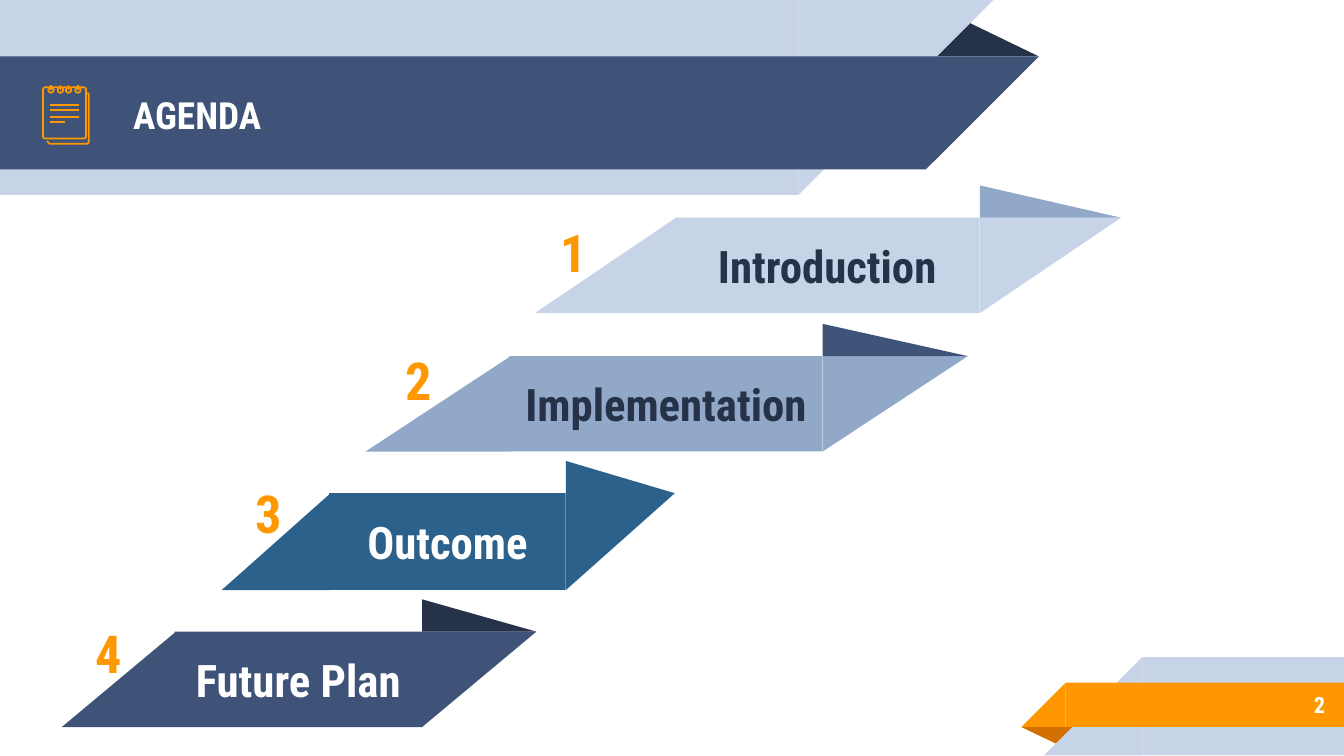
from dataclasses import dataclass

from lxml import etree
from pptx import Presentation
from pptx import util as u
from pptx.dml.color import RGBColor
from pptx.enum import shapes as kinds, text as t
from pptx.oxml.ns import qn

PX = 9144  # 100 px to the inch
RECT = kinds.MSO_SHAPE.RECTANGLE
CORNER = kinds.MSO_SHAPE.RIGHT_TRIANGLE
FOLD = kinds.MSO_SHAPE.ISOSCELES_TRIANGLE


@dataclass(frozen=True)
class Theme:
    font: str = "Roboto Condensed"
    white: str = "FFFFFF"
    ink: str = "263248"
    navy: str = "3F5378"
    steel: str = "92A8C8"
    pale: str = "C7D3E6"
    blue: str = "2B618B"
    orange: str = "FF9800"
    rust: str = "D26F00"
    title: int = 20
    item: int = 24
    number: int = 28
    page: int = 12
    icon_line: float = 0.96


THEME = Theme()
SLIDE_WIDTH = 1000
TITLE = ("AGENDA", (89, 43, 575, 84))
PAGE_NUMBER = ("2", (833, 507, 163, 35))

# label, bar box, slant width, bar colour, fold colour, text colour, number position
ITEMS = [
    ("Introduction", (502, 162, 227, 71), 105, THEME.pale, THEME.steel, THEME.ink, (407, 159)),
    ("Implementation", (379, 265, 233, 71), 108, THEME.steel, THEME.navy, THEME.ink, (292, 254)),
    ("Outcome", (245, 367, 176, 72), 81, THEME.blue, THEME.blue, THEME.white, (180, 353)),
    ("Future Plan", (130, 470, 184, 71), 85, THEME.navy, THEME.ink, THEME.white, (61, 457)),
]
FOLD_HEIGHT = 24
OVERLAP = 1
NUMBER_SIZE = (44, 57)

# kind, box, colour, rotation, mirrored, apex
HEADER = [
    (FOLD, (688, 14, 85, 28), THEME.ink, 0, False, 0.32),
    (RECT, (0, 0, 594, 145), THEME.pale, 0, False, None),
    (CORNER, (594, 0, 145, 145), THEME.pale, 180, True, None),
    (RECT, (0, 42, 689, 84), THEME.navy, 0, False, None),
    (CORNER, (689, 42, 84, 84), THEME.navy, 180, True, None),
]
FOOTER = [
    (FOLD, (760, 541, 43, 14), THEME.rust, 180, False, 0.32),
    (RECT, (850, 489, 150, 73), THEME.pale, 0, False, None),
    (CORNER, (777, 489, 73, 73), THEME.pale, 0, True, None),
    (RECT, (793, 508, 207, 33), THEME.orange, 0, False, None),
    (CORNER, (760, 508, 33, 33), THEME.orange, 0, True, None),
]

NOTE_FRONT = (32, 65, 32, 38)
NOTE_BACK = [(35, 105), (37, 107), (65, 107), (66, 106), (66, 70), (65, 69)]
RING_CENTRES = (38, 45, 51, 58)
WRITING = [(78, 59), (82, 59), (87, 59), (91, 48)]  # y, right end


def px(*lengths):
    return [u.Emu(length * PX) for length in lengths]


def rgb(colour):
    return RGBColor.from_string(colour)


def write(shape, words, *, size, colour, align=t.PP_ALIGN.LEFT,
          anchor=t.MSO_ANCHOR.MIDDLE, fit=t.MSO_AUTO_SIZE.NONE, inset=10):
    frame = shape.text_frame
    frame.word_wrap = True
    frame.auto_size = fit
    frame.vertical_anchor = anchor
    frame.margin_left = frame.margin_right = px(10)[0]
    frame.margin_top = frame.margin_bottom = px(inset)[0]
    para = frame.paragraphs[0]
    para.alignment = align
    span = para.add_run()
    span.text = words
    span.font.name = THEME.font
    span.font.size = u.Pt(size)
    span.font.bold = True
    span.font.color.rgb = rgb(colour)


def add_piece(group, kind, box, colour, rotation=0, mirrored=False, apex=None):
    piece = group.shapes.add_shape(kind, *px(*box))
    piece.shadow.inherit = False
    piece.fill.solid()
    piece.fill.fore_color.rgb = rgb(colour)
    piece.line.fill.background()
    piece.rotation = rotation
    if mirrored:
        piece._element.spPr.find(qn("a:xfrm")).set("flipH", "1")
    if apex is not None:
        piece.adjustments[0] = apex
    return piece


def add_ribbon(page, pieces):
    group = page.shapes.add_group_shape()
    for piece in pieces:
        add_piece(group, *piece)


def add_item(page, number, item):
    """A folded bar with its label, and its number to the left."""
    label, (x, y, width, height), slant, colour, fold, ink, spot = item
    group = page.shapes.add_group_shape()
    right = x + width
    bar = add_piece(group, RECT, (x, y, width, height), colour)
    write(bar, label, size=THEME.item, colour=ink, align=t.PP_ALIGN.CENTER)
    add_piece(group, CORNER, (x - slant + OVERLAP, y, slant, height), colour, 0, True)
    add_piece(group, CORNER, (right, y, slant, height), colour, 180, True)
    add_piece(group, FOLD, (right, y - FOLD_HEIGHT, slant, FOLD_HEIGHT), fold, apex=0)
    box = page.shapes.add_textbox(*px(*spot, *NUMBER_SIZE))
    write(box, str(number), size=THEME.number, colour=THEME.orange,
          anchor=t.MSO_ANCHOR.TOP, fit=t.MSO_AUTO_SIZE.SHAPE_TO_FIT_TEXT, inset=5)


def outline(shape):
    shape.line.color.rgb = rgb(THEME.orange)
    shape.line.width = u.Pt(THEME.icon_line)


def add_outline_shape(group, kind, box):
    shape = group.shapes.add_shape(kind, *px(*box))
    shape.shadow.inherit = False
    shape.fill.background()
    outline(shape)
    return shape


def add_stroke(group, start, end):
    stroke = group.shapes.add_connector(kinds.MSO_CONNECTOR.STRAIGHT, *px(*start, *end))
    outline(stroke)
    etree.SubElement(stroke._element.spPr, qn("a:effectLst"))


def add_notepad(page):
    group = page.shapes.add_group_shape()
    builder = group.shapes.build_freeform(*NOTE_BACK[0], scale=PX)
    builder.add_line_segments(NOTE_BACK[1:], close=False)
    back = builder.convert_to_shape()
    back.shadow.inherit = False
    back.fill.background()
    outline(back)
    front = add_outline_shape(group, kinds.MSO_SHAPE.ROUNDED_RECTANGLE, NOTE_FRONT)
    front.adjustments[0] = 0.05
    for x in RING_CENTRES:
        add_outline_shape(group, kinds.MSO_SHAPE.OVAL, (x - 2, 65, 4, 4))
        add_stroke(group, (x, 63), (x, 67))
    for y, end in WRITING:
        add_stroke(group, (37, y), (end, y))


def main():
    deck = Presentation()
    deck.slide_width = px(SLIDE_WIDTH)[0]
    deck.slide_height = u.Emu(deck.slide_width * 9 // 16)
    page = deck.slides.add_slide(deck.slide_layouts.get_by_name("Title Only"))
    add_ribbon(page, HEADER)
    add_ribbon(page, FOOTER)

    words, box = TITLE
    title = page.shapes.title
    title.left, title.top, title.width, title.height = px(*box)
    write(title, words, size=THEME.title, colour=THEME.white)
    page.shapes._spTree.append(title._element)  # bring in front of the ribbon

    words, box = PAGE_NUMBER
    write(page.shapes.add_textbox(*px(*box)), words, size=THEME.page,
          colour=THEME.white, align=t.PP_ALIGN.RIGHT)
    for number, item in enumerate(ITEMS, 1):
        add_item(page, number, item)
    add_notepad(page)
    deck.save("out.pptx")


if __name__ == "__main__":
    main()
